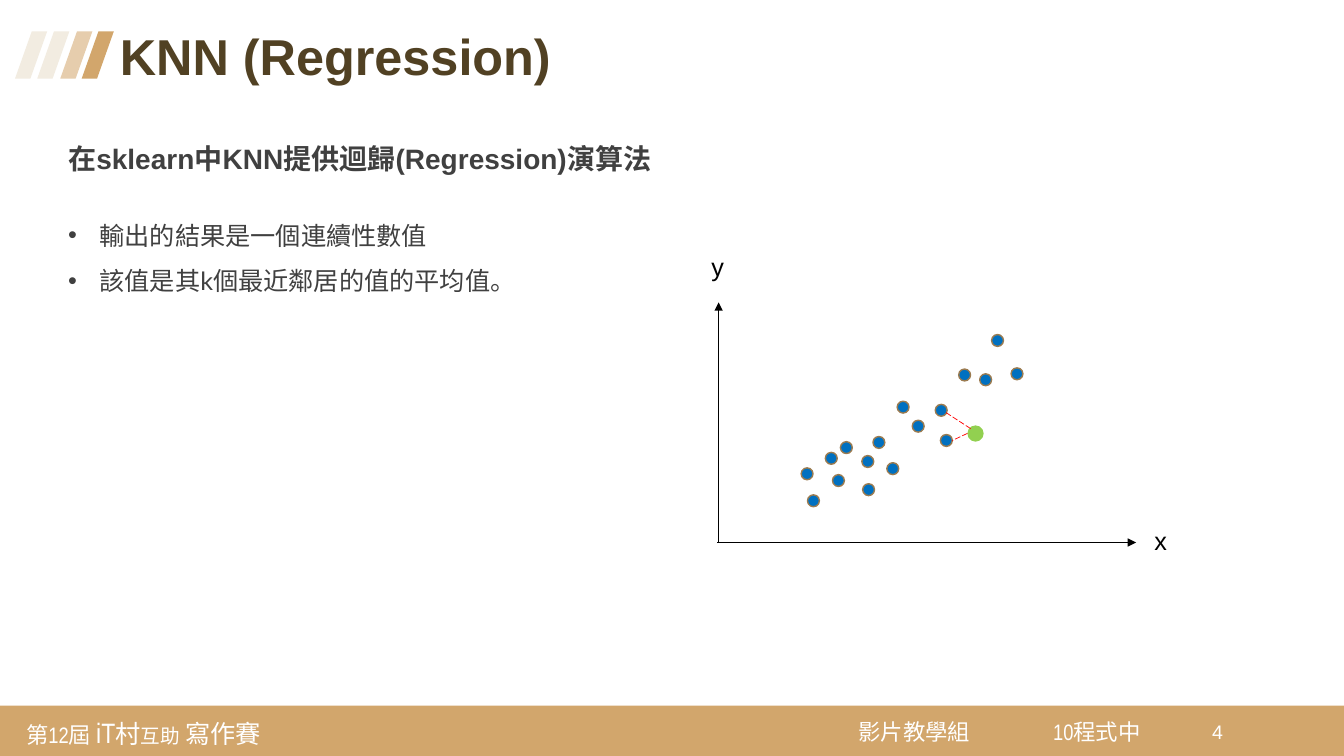
"""Build the KNN regression slide with its scatter sketch."""
from dataclasses import dataclass
from typing import Optional

from lxml.etree import SubElement
from pptx import Presentation
from pptx.dml.color import RGBColor
from pptx.enum.dml import MSO_LINE
from pptx.enum.shapes import MSO_CONNECTOR, MSO_SHAPE
from pptx.enum.text import MSO_ANCHOR, PP_ALIGN
from pptx.oxml.ns import qn
from pptx.util import Cm, Pt

TAN, WHITE, BLACK, GREY = "D2A66C", "FFFFFF", "000000", "404040"
NARROW = "Arial Narrow"


@dataclass
class Box:
    left: float
    top: float
    width: float
    height: float


@dataclass
class Line:
    start: tuple[float, float]
    end: tuple[float, float]
    color: str
    arrow: bool = False
    dash: bool = False


@dataclass
class Label:
    box: Box
    runs: list[tuple[str, int]]


STRIPES = [(2.06, TAN), (1.52, "E6CDAD"), (0.94, "F2ECE1"), (0.38, "F2ECE1")]
FOOTER = [
    Label(Box(0.46, 17.83, 7.19, 1.24),
          [("第12屆 ", 16), ("iT", 20), ("村", 18), ("互助", 14), (" 寫作賽", 18)]),
    Label(Box(21.44, 17.88, 3.38, 1.09), [("影片教學組", 16)]),
    Label(Box(26.34, 17.88, 3.38, 1.09), [("10程式中", 16)]),
]
BULLETS = [("輸出的結果是一個連續性數值", 21), ("該值是其k個最近鄰居的值的平均值。", 0)]
AXES = [
    Line((18.11, 13.67), (18.11, 7.62), BLACK, arrow=True),
    Line((18.08, 13.67), (28.63, 13.67), BLACK, arrow=True),
]
NAMES = [("x", Box(28.83, 13.11, 0.84, 1.02)), ("y", Box(17.68, 6.22, 0.81, 1.02))]
DOTS = [
    (23.57, 10.19), (22.99, 10.59), (24.16, 9.3), (22.61, 10.11),
    (24.99, 8.43), (25.48, 9.27), (24.69, 9.42), (23.7, 10.95),
    (20.19, 11.79), (20.8, 11.4), (20.35, 12.47), (21.72, 11.48),
    (22.35, 11.66), (21.18, 11.13), (21.74, 12.19), (20.98, 11.96),
    (22, 11),
]
LINKS = [
    Line((24.46, 10.8), (23.83, 10.39), "FF0000", dash=True),
    Line((24.38, 10.92), (24, 11.1), "FF0000", dash=True),
]


def paint(code: str) -> RGBColor:
    return RGBColor.from_string(code)


def frame(slide, box: Box, inset: Optional[float] = None, wrap: bool = True):
    shape = slide.shapes.add_textbox(
        Cm(box.left), Cm(box.top), Cm(box.width), Cm(box.height))
    text = shape.text_frame
    text.word_wrap = wrap
    if inset is not None:
        text.vertical_anchor = MSO_ANCHOR.MIDDLE
        text.margin_left = text.margin_right = Cm(inset)
        text.margin_top = text.margin_bottom = Cm(inset)
    return text


def write(para, text: str, *, size: int, color: str, font: str = "Arial",
          bold: bool = False) -> None:
    run = para.add_run()
    run.text = text
    run.font.size = Pt(size)
    run.font.name = font
    run.font.bold = bold
    run.font.color.rgb = paint(color)


def bullet(para, indent: float) -> None:
    props = para._p.get_or_add_pPr()
    props.set("marL", str(Cm(indent)))
    props.set("indent", str(-Cm(indent)))
    SubElement(props, qn("a:buFont")).set("typeface", "Arial")
    SubElement(props, qn("a:buChar")).set("char", "•")


def draw(slide, kind: MSO_SHAPE, box: Box, fill: str,
         edge: Optional[str] = None):
    shape = slide.shapes.add_shape(
        kind, Cm(box.left), Cm(box.top), Cm(box.width), Cm(box.height))
    shape.shadow.inherit = False
    shape.fill.solid()
    shape.fill.fore_color.rgb = paint(fill)
    if edge:
        shape.line.color.rgb = paint(edge)
        shape.line.width = Pt(1)
    else:
        shape.line.fill.background()
    return shape


def join(slide, line: Line) -> None:
    ends = [Cm(value) for value in (*line.start, *line.end)]
    link = slide.shapes.add_connector(MSO_CONNECTOR.STRAIGHT, *ends)
    link.line.color.rgb = paint(line.color)
    link.line.width = Pt(0.5)
    if line.dash:
        link.line.dash_style = MSO_LINE.LONG_DASH
    if line.arrow:
        stroke = link.line._get_or_add_ln()
        SubElement(stroke, qn("a:tailEnd")).set("type", "triangle")
    SubElement(link._element.spPr, qn("a:effectLst"))


def add_frame(slide) -> None:
    draw(slide, MSO_SHAPE.RECTANGLE, Box(0, 17.78, 33.87, 1.27), TAN)
    for label in FOOTER:
        para = frame(slide, label.box, inset=0.2).paragraphs[0]
        for text, size in label.runs:
            write(para, text, size=size, color=WHITE, font=NARROW)
    page = frame(slide, Box(30.3, 18.01, 1.07, 1.04))
    write(page.paragraphs[0], "4", size=14, color=WHITE)
    for left, fill in STRIPES:
        stripe = draw(slide, MSO_SHAPE.PARALLELOGRAM,
                      Box(left, 0.79, 0.81, 1.19), fill)
        stripe.adjustments[0] = 0.522


def add_words(slide) -> None:
    title = frame(slide, Box(2.77, 0.69, 25.88, 1.65)).paragraphs[0]
    title.line_spacing = 0.9
    write(title, "KNN (Regression)", size=36, color="514123", bold=True)
    body = frame(slide, Box(1.47, 3.45, 16.94, 4.95))
    write(body.paragraphs[0], "在sklearn中KNN提供迴歸(Regression)演算法",
          size=20, color=GREY, bold=True)
    for text, gap in BULLETS:
        para = body.add_paragraph()
        bullet(para, 0.79)
        para.line_spacing = 1.5
        para.space_before = Pt(gap)
        write(para, text, size=18, color=GREY, font="Lato")


def add_plot(slide) -> None:
    for axis in AXES:
        join(slide, axis)
    for name, box in NAMES:
        para = frame(slide, box, wrap=False).paragraphs[0]
        para.alignment = PP_ALIGN.CENTER
        write(para, name, size=18, color=BLACK)
    for left, top in DOTS:
        draw(slide, MSO_SHAPE.OVAL, Box(left, top, 0.3, 0.3), "0070C0", "9B7B50")
    draw(slide, MSO_SHAPE.OVAL, Box(24.38, 10.72, 0.41, 0.41), "92D050")
    for link in LINKS:
        join(slide, link)


def main() -> None:
    deck = Presentation()
    deck.slide_width, deck.slide_height = Cm(33.87), Cm(19.05)
    slide = deck.slides.add_slide(deck.slide_layouts[6])
    add_frame(slide)
    add_words(slide)
    add_plot(slide)
    deck.save("out.pptx")


if __name__ == "__main__":
    main()
